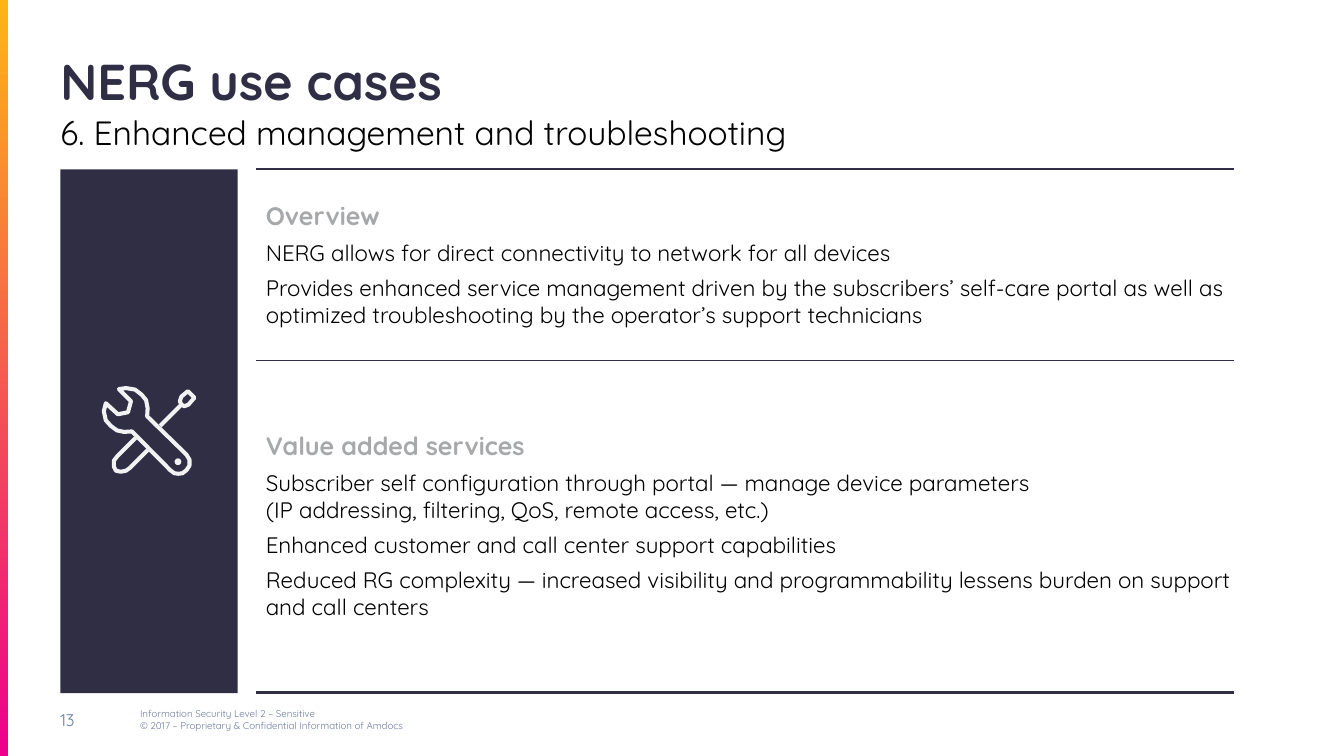
from pptx import Presentation
from pptx.dml.color import RGBColor
from pptx.enum.shapes import MSO_CONNECTOR, MSO_SHAPE
from pptx.enum.text import MSO_ANCHOR
from pptx.oxml.ns import qn
from pptx.util import Cm, Pt
from lxml import etree

NAVY = RGBColor(0x30, 0x2E, 0x45)
BLACK = RGBColor(0x00, 0x00, 0x00)
GREY = RGBColor(0xA7, 0xA8, 0xAA)
SLATE = RGBColor(0x6E, 0x7C, 0xA0)
GOLD = RGBColor(0xFD, 0xB5, 0x15)
PINK = RGBColor(0xEC, 0x00, 0x8C)
PALE = RGBColor(0xF2, 0xF2, 0xF2)

LEFT, PANEL_TOP, PANEL_BOTTOM = 1.52, 4.27, 17.45
BODY_LEFT, BODY_WIDTH = 6.45, 24.84
RULE_RIGHT = 31.09
ICON_UNIT = Cm(2.54) / 1000

# Icon outlines, in thousandths of an inch
WRENCH = [(1180, 3860), (1300, 3980), (1270, 4090), (1170, 4110), (1050, 4000),
          (1030, 4080), (1050, 4170), (1100, 4225), (1160, 4270), (1230, 4285),
          (1310, 4280), (1690, 4665), (1730, 4695), (1770, 4700), (1810, 4695),
          (1850, 4665), (1880, 4620), (1880, 4560), (1850, 4510), (1460, 4130),
          (1465, 4050), (1450, 3970), (1405, 3915), (1340, 3865), (1250, 3850)]
HANDLE = [(1345, 4345), (1165, 4525), (1130, 4570), (1130, 4630), (1150, 4670),
          (1200, 4680), (1250, 4670), (1285, 4645), (1465, 4465)]
SHAFT = [(1590, 4225), (1790, 4025)]
TIP = [(1865, 3880), (1930, 3945), (1870, 4015), (1830, 4030), (1800, 4015),
       (1785, 3980), (1800, 3935)]


def add_text(p, text, font="Quicksand", size=16, color=BLACK, bold=False, after=0):
    """Write text into a paragraph, with a line break at each newline."""
    p.space_after = Pt(after)
    for i, line in enumerate(text.split("\n")):
        if i:
            p.add_line_break()
        r = p.add_run()
        r.text = line
        r.font.name, r.font.size, r.font.bold = font, Pt(size), bold
        r.font.color.rgb = color


class SlideBuilder:
    def __init__(self, slide):
        self.s = slide

    def textbox(self, x, y, w, h, paragraphs, anchor=MSO_ANCHOR.TOP, insets=None):
        tf = self.s.shapes.add_textbox(Cm(x), Cm(y), Cm(w), Cm(h)).text_frame
        tf.word_wrap = True
        tf.vertical_anchor = anchor
        if insets:
            (tf.margin_left, tf.margin_top,
             tf.margin_right, tf.margin_bottom) = map(Cm, insets)
        for i, (text, style) in enumerate(paragraphs):
            p = tf.add_paragraph() if i else tf.paragraphs[0]
            add_text(p, text, **style)

    def section(self, y, h, heading, lines, anchor):
        paragraphs = [(heading, dict(size=18, color=GREY, bold=True, after=6))]
        paragraphs += [(line, dict(after=6)) for line in lines]
        self.textbox(BODY_LEFT, y, BODY_WIDTH, h, paragraphs, anchor)

    def shape(self, kind, x, y, w, h, color=None):
        sp = self.s.shapes.add_shape(kind, Cm(x), Cm(y), Cm(w), Cm(h))
        sp.shadow.inherit = False
        sp.line.fill.background()
        if color is not None:
            sp.fill.solid()
            sp.fill.fore_color.rgb = color
        return sp

    def gradient_bar(self, x, y, w, h, colors):
        fill = self.shape(MSO_SHAPE.RECTANGLE, x, y, w, h).fill
        fill.gradient()
        fill.gradient_angle = 270
        for stop, color in zip(fill.gradient_stops, colors):
            stop.color.rgb = color

    def rule(self, y, width):
        c = self.s.shapes.add_connector(
            MSO_CONNECTOR.STRAIGHT, Cm(BODY_LEFT), Cm(y), Cm(RULE_RIGHT), Cm(y))
        c.line.color.rgb, c.line.width = NAVY, Pt(width)
        etree.SubElement(c._element.spPr, qn("a:effectLst"))

    def outline(self, points, close):
        fb = self.s.shapes.build_freeform(*points[0], scale=ICON_UNIT)
        fb.add_line_segments(points[1:], close=close)
        sp = fb.convert_to_shape()
        sp.shadow.inherit = False
        sp.fill.background()
        sp.line.color.rgb, sp.line.width = PALE, Pt(2.9)
        etree.SubElement(sp.line._get_or_add_ln(), qn("a:round"))


def main():
    prs = Presentation()
    prs.slide_width, prs.slide_height = Cm(33.87), Cm(19.05)
    b = SlideBuilder(prs.slides.add_slide(prs.slide_layouts[6]))

    # Edge bar and footer
    b.gradient_bar(0, 0, 0.2, 19.05, (GOLD, PINK))
    b.textbox(3.28, 17.63, 11.43, 1.02, [(
        "Information Security Level 2 – Sensitive\n"
        "© 2017 – Proprietary & Confidential Information of Amdocs",
        dict(size=7, color=SLATE))], MSO_ANCHOR.MIDDLE)
    b.textbox(LEFT, 17.63, 1.75, 1.02, [("13", dict(size=12, color=SLATE))],
              MSO_ANCHOR.MIDDLE, (0, 0.13, 0.25, 0.13))

    # Title and subtitle
    b.textbox(LEFT, 1.24, 30.81, 1.55,
              [("NERG use cases", dict(size=36, color=NAVY, bold=True))],
              MSO_ANCHOR.BOTTOM, (0, 0, 0, 0))
    b.textbox(LEFT, 2.82, 30.81, 1.22,
              [("6. Enhanced management and troubleshooting", dict(size=24))],
              insets=(0, 0, 0, 0))

    # Text sections between rules
    b.section(4.57, 4.19, "Overview", [
        "NERG allows for direct connectivity to network for all devices",
        "Provides enhanced service management driven by the subscribers’ self-care "
        "portal as well as optimized troubleshooting by the operator’s support "
        "technicians"], MSO_ANCHOR.MIDDLE)
    b.section(10.72, 5.08, "Value added services", [
        "Subscriber self configuration through portal — manage device parameters\n"
        "(IP addressing, filtering, QoS, remote access, etc.)",
        "Enhanced customer and call center support capabilities",
        "Reduced RG complexity — increased visibility and programmability lessens "
        "burden on support and call centers"], MSO_ANCHOR.TOP)
    for y, width in ((PANEL_TOP, 1.5), (9.09, 1), (PANEL_BOTTOM, 1.5)):
        b.rule(y, width)

    # Panel with tools icon
    b.shape(MSO_SHAPE.RECTANGLE, LEFT, PANEL_TOP, 4.47, 13.2, NAVY)
    for points, close in ((WRENCH, True), (HANDLE, False), (SHAFT, False), (TIP, True)):
        b.outline(points, close)
    b.shape(MSO_SHAPE.OVAL, 4.4, 11.55, 0.17, 0.17, PALE)

    prs.save("out.pptx")


if __name__ == "__main__":
    main()
